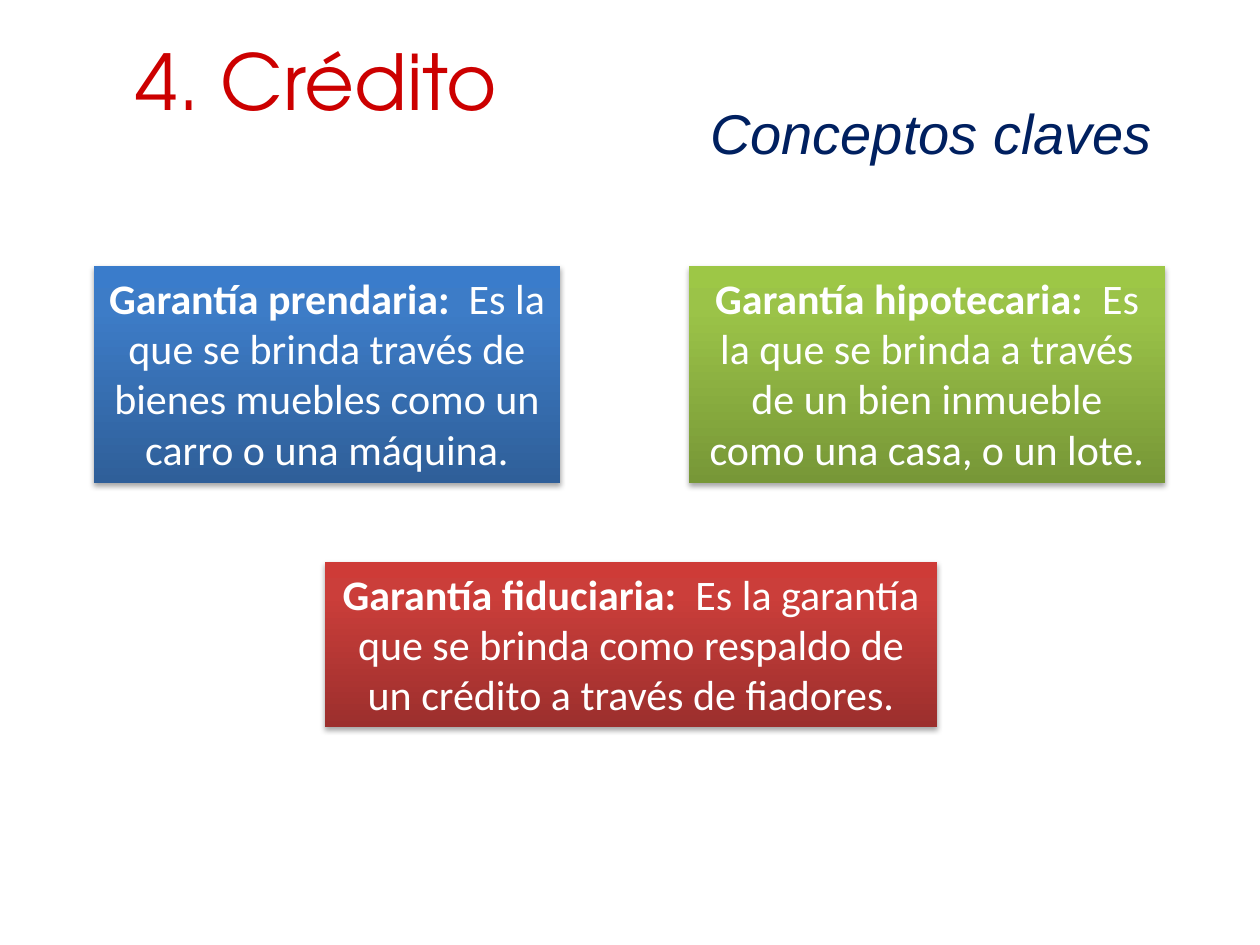
"""Build the slide on the three kinds of credit guarantee."""
from copy import deepcopy
from typing import NamedTuple

from lxml import etree
from pptx import Presentation
from pptx.dml.color import RGBColor
from pptx.enum import shapes, text
from pptx.oxml import ns
from pptx.util import Pt

EMU_PER_PX = 914400 / 126
STOP_POSITIONS = (0, 0.8, 1)


class Box(NamedTuple):
    left: int
    top: int
    width: int
    height: int


class Style(NamedTuple):
    font: str
    size: int
    color: str
    bold: bool = False
    italic: bool = False


class Guarantee(NamedTuple):
    box: Box
    gradient: tuple[str, str, str]
    term: str
    definition: str


GUARANTEES = (
    Guarantee(Box(325, 562, 612, 165), ("9C2F2D", "CB3E3A", "CE3B37"),
              "Garantía fiduciaria:  ",
              "Es la garantía que se brinda como respaldo de un crédito a través de fiadores."),
    Guarantee(Box(689, 266, 476, 217), ("779737", "9BC348", "9DC746"),
              "Garantía hipotecaria: ",
              " Es la que se brinda a través de un bien inmueble como una casa, o un lote."),
    Guarantee(Box(94, 266, 466, 217), ("2F5F99", "3D7CC7", "3A7CCB"),
              "Garantía prendaria:  ",
              "Es la que se brinda través de bienes muebles como un carro o una máquina."),
)
TERM = Style("Calibri", 24, "FFFFFF", bold=True)
DEFINITION = TERM._replace(bold=False)
HEADING = Style("TeX Gyre Adventor", 44, "CC0000")
SUBHEADING = Style("Arial", 32, "002060", italic=True)


def px(length: int) -> int:
    """Turn pixels into EMU."""
    return round(length * EMU_PER_PX)


def place(box: Box) -> list[int]:
    """Give left, top, width and height in EMU."""
    return [px(length) for length in box]


def rgb(color: str) -> RGBColor:
    """Turn a hex string into a colour."""
    return RGBColor.from_string(color)


def add_run(paragraph, wording: str, style: Style) -> None:
    """Append one styled run."""
    run = paragraph.add_run()
    run.text = wording
    run.font.name, run.font.size = style.font, Pt(style.size)
    run.font.bold, run.font.italic = style.bold, style.italic
    run.font.color.rgb = rgb(style.color)


def fill_gradient(shape, colors: tuple[str, ...]) -> None:
    """Fill a shape from bottom to top through the given colours."""
    shape.fill.gradient()
    shape.fill.gradient_angle = 90
    stops = shape.element.spPr.find(".//" + ns.qn("a:gsLst"))
    stops.append(deepcopy(stops[-1]))
    for stop, color, position in zip(shape.fill.gradient_stops, colors, STOP_POSITIONS):
        stop.color.rgb = rgb(color)
        stop.position = position


def add_shadow(shape) -> None:
    """Give a shape a soft shadow below it."""
    shape.shadow.inherit = False
    effects = shape.element.spPr.find(ns.qn("a:effectLst"))
    shadow = etree.SubElement(effects, ns.qn("a:outerShdw"), blurRad=str(Pt(3.1)),
                              dist=str(Pt(1.8)), dir="5400000", rotWithShape="0")
    black = etree.SubElement(shadow, ns.qn("a:srgbClr"), val="000000")
    etree.SubElement(black, ns.qn("a:alpha"), val="35000")


def add_guarantee(slide, guarantee: Guarantee) -> None:
    """Draw a card with a term and its definition."""
    card = slide.shapes.add_shape(shapes.MSO_SHAPE.RECTANGLE, *place(guarantee.box))
    fill_gradient(card, guarantee.gradient)
    card.line.fill.background()
    add_shadow(card)
    frame = card.text_frame
    frame.word_wrap = True
    frame.auto_size = text.MSO_AUTO_SIZE.SHAPE_TO_FIT_TEXT
    frame.vertical_anchor = text.MSO_ANCHOR.TOP
    paragraph = frame.paragraphs[0]
    paragraph.alignment = text.PP_ALIGN.CENTER
    add_run(paragraph, guarantee.term, TERM)
    add_run(paragraph, guarantee.definition, DEFINITION)


def write_heading(shape, wording: str, style: Style, alignment: text.PP_ALIGN) -> None:
    """Write one line, centred vertically in its shape."""
    frame = shape.text_frame
    frame.word_wrap = True
    frame.auto_size = text.MSO_AUTO_SIZE.NONE
    frame.vertical_anchor = text.MSO_ANCHOR.MIDDLE
    frame.paragraphs[0].alignment = alignment
    add_run(frame.paragraphs[0], wording, style)


def main() -> None:
    """Build and save the slide."""
    deck = Presentation()
    deck.slide_width, deck.slide_height = px(1260), px(945)
    slide = deck.slides.add_slide(deck.slide_layouts.get_by_name("Title Only"))
    heading = slide.shapes.title
    heading.left, heading.top, heading.width, heading.height = place(Box(123, 26, 423, 107))
    write_heading(heading, "4. Crédito", HEADING, text.PP_ALIGN.LEFT)
    for guarantee in GUARANTEES:
        add_guarantee(slide, guarantee)
    subheading = slide.shapes.add_textbox(*place(Box(441, 96, 724, 73)))
    write_heading(subheading, "Conceptos claves", SUBHEADING, text.PP_ALIGN.RIGHT)
    deck.save("out.pptx")


if __name__ == "__main__":
    main()
